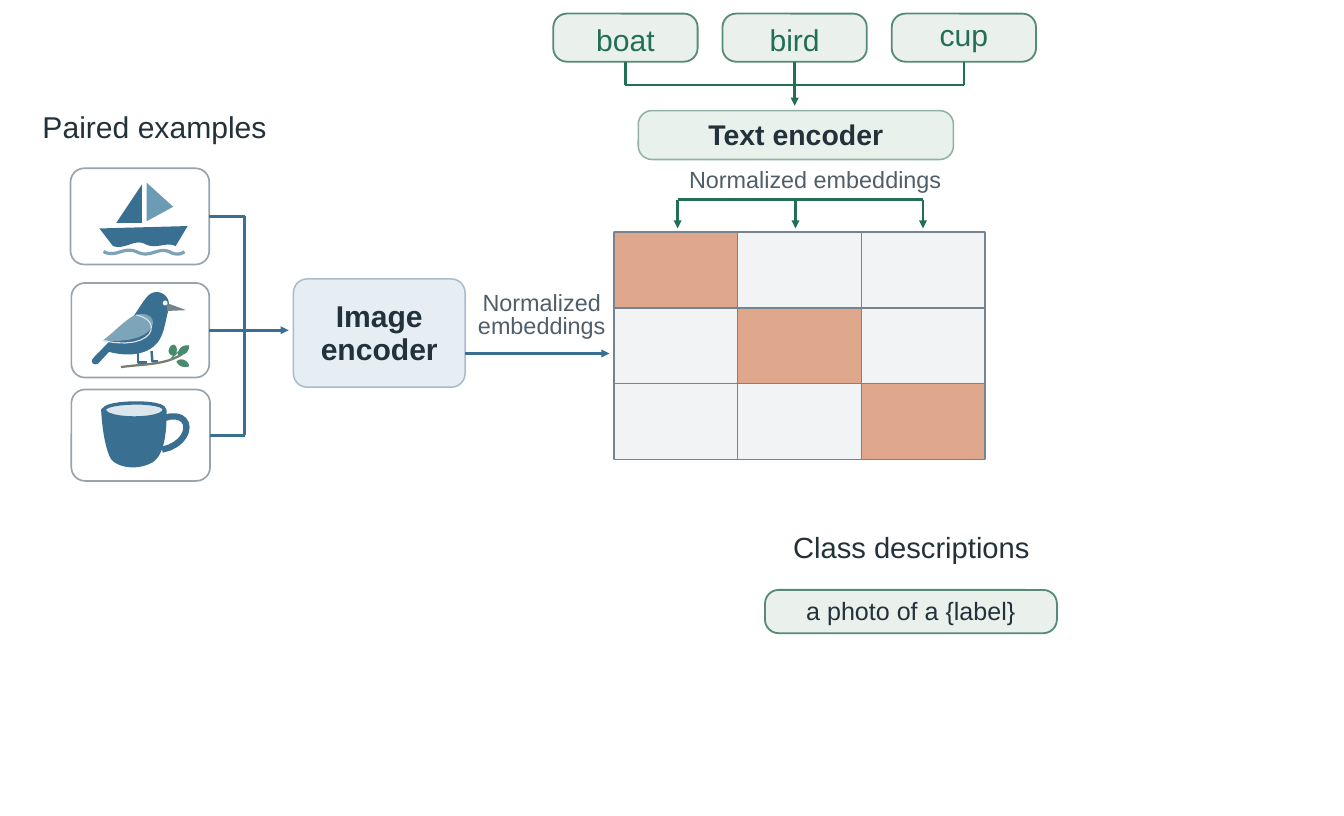
from dataclasses import dataclass

from lxml import etree
from pptx import Presentation
from pptx.dml.color import RGBColor
from pptx.enum.shapes import MSO_CONNECTOR, MSO_SHAPE
from pptx.enum.text import MSO_ANCHOR, MSO_AUTO_SIZE, PP_ALIGN
from pptx.oxml.ns import qn
from pptx.util import Pt

RECT, ROUNDED, OVAL = MSO_SHAPE.RECTANGLE, MSO_SHAPE.ROUNDED_RECTANGLE, MSO_SHAPE.OVAL
STRAIGHT = MSO_CONNECTOR.STRAIGHT
LEFT, CENTER = PP_ALIGN.LEFT, PP_ALIGN.CENTER
TOP, MIDDLE = MSO_ANCHOR.TOP, MSO_ANCHOR.MIDDLE
NO_AUTOFIT = MSO_AUTO_SIZE.NONE
TITLE_ONLY = 5
BOTTOM_SIDE, RIGHT_SIDE = 2, 3
EMU_PER_PX = 9144  # 100 px to the inch
CURVE_STEPS = 12
CORNER = 17


@dataclass(frozen=True)
class Theme:
    font: str = "Arial"
    ink: str = "22313A"
    muted: str = "4F5E69"
    white: str = "FFFFFF"
    blue: str = "396F90"
    sail: str = "6C9BB5"
    wave: str = "7CA2B7"
    wing: str = "7CA5BA"
    wing_edge: str = "DAE5E9"
    beak: str = "73828C"
    branch: str = "7B7B72"
    twig: str = "5D947D"
    leaf: str = "488A6E"
    drink: str = "DCE7ED"
    card_edge: str = "99A3AC"
    image_fill: str = "E6EEF4"
    image_edge: str = "A9BCCB"
    green: str = "236E57"
    label_fill: str = "EAF1EC"
    label_edge: str = "568B79"
    text_fill: str = "E9F1EC"
    text_edge: str = "91B2A3"
    cell: str = "F1F3F4"
    match: str = "DFA88C"
    grid: str = "76848F"
    heading_size: float = 27
    subheading_size: float = 26.2
    encoder_size: float = 25.5
    prompt_size: float = 22.5
    note_size: float = 21
    note_leading: float = 20.2
    wire: float = 2.4


THEME = Theme()

# Each outline: start point, then line ends (2 numbers) or cubic curves (6 numbers);
# followed by fill, line colour and line width.
BOAT = [
    ([(145, 278), (177, 230), (177, 278)], THEME.blue, None, 0),
    ([(183, 228), (216, 258), (183, 276)], THEME.sail, None, 0),
    ([(124, 285), (234, 282), (219, 307), (208, 301, 194, 312, 180, 304),
      (167, 298, 156, 312, 141, 307)], THEME.blue, None, 0),
    ([(129, 314), (145, 322, 154, 307, 170, 314), (187, 323, 196, 308, 211, 314),
      (218, 318, 225, 318, 230, 314)], None, THEME.wave, 2.85),
]
BIRD = [
    ([(117, 446), (151, 411), (165, 401, 171, 386, 182, 372),
      (193, 356, 216, 367, 210, 387), (205, 405, 205, 424, 188, 435),
      (170, 446, 148, 442, 136, 439), (123, 453), (118, 457, 111, 452, 117, 446)],
     THEME.blue, None, 0),
    ([(208, 378), (232, 387), (208, 388)], THEME.beak, None, 0),
    ([(128, 425), (144, 413, 157, 398, 169, 393), (201, 383, 206, 431, 128, 425)],
     THEME.wing, None, 0),
    ([(128, 425), (193, 439, 204, 399, 170, 393)], None, THEME.wing_edge, 0.98),
    ([(172, 438), (172, 452), (183, 452)], None, THEME.blue, 2.25),
    ([(189, 438), (190, 451), (197, 451)], None, THEME.blue, 2.25),
    ([(151, 458), (178, 454, 205, 456, 227, 442)], None, THEME.branch, 2.03),
    ([(212, 450), (219, 439, 226, 438, 233, 432)], None, THEME.twig, 1.35),
    ([(218, 444), (206, 444, 210, 430, 217, 430), (222, 433, 221, 439, 218, 444)],
     THEME.leaf, None, 0),
    ([(222, 443), (222, 432, 231, 430, 236, 431), (236, 440, 229, 444, 222, 443)],
     THEME.leaf, None, 0),
    ([(220, 451), (226, 445, 235, 450, 236, 457), (227, 460, 222, 455, 220, 451)],
     THEME.leaf, None, 0),
]
CUP = [
    ([(203, 522), (242, 508, 243, 553, 202, 561)], None, THEME.blue, 5.63),
    ([(127, 511), (135, 502, 199, 500, 207, 512), (207, 538, 205, 571, 186, 578),
      (169, 586, 146, 582, 139, 572), (131, 557, 128, 529, 127, 511)],
     THEME.blue, THEME.blue, 1.28),
    ([(130, 511), (130, 501, 205, 499, 205, 511), (205, 525, 130, 525, 130, 511)],
     THEME.drink, THEME.blue, 3),
]


def px(*lengths):
    return [round(length * EMU_PER_PX) for length in lengths]


def flatten(outline):
    """Turn an outline's lines and cubic curves into a list of points."""
    points = [outline[0]]
    for segment in outline[1:]:
        if len(segment) == 2:
            points.append(segment)
            continue
        start, first, second, end = points[-1], segment[:2], segment[2:4], segment[4:]
        for step in range(1, CURVE_STEPS + 1):
            t = step / CURVE_STEPS
            u = 1 - t
            points.append(tuple(
                u**3 * a + 3 * u * u * t * b + 3 * u * t * t * c + t**3 * d
                for a, b, c, d in zip(start, first, second, end)))
    return points


class Diagram:
    def __init__(self, theme, width, height):
        self.theme = theme
        self.deck = Presentation()
        self.deck.slide_width, self.deck.slide_height = px(width, height)
        self.page = self.deck.slides.add_slide(self.deck.slide_layouts[TITLE_ONLY])

    def paint(self, shape, fill, edge, weight):
        shape.shadow.inherit = False
        if fill:
            shape.fill.solid()
            shape.fill.fore_color.rgb = RGBColor.from_string(fill)
        else:
            shape.fill.background()
        if edge:
            shape.line.color.rgb = RGBColor.from_string(edge)
            shape.line.width = Pt(weight)
        else:
            shape.line.fill.background()

    def shape(self, kind, frame, fill, edge=None, weight=0):
        shape = self.page.shapes.add_shape(kind, *px(*frame))
        if kind == ROUNDED:
            shape.adjustments[0] = CORNER / min(frame[2:])
        self.paint(shape, fill, edge, weight)
        return shape

    def outline(self, outline, fill, edge, weight):
        points = [px(*point) for point in flatten(outline)]
        builder = self.page.shapes.build_freeform(*points[0], scale=1.0)
        builder.add_line_segments(points[1:], close=fill is not None)
        self.paint(builder.convert_to_shape(), fill, edge, weight)

    def set_text(self, box, lines, size, color, bold=False, align=CENTER,
                 anchor=MIDDLE, leading=None, drop=0):
        """Fill a box with one paragraph a line; drop moves centred text down."""
        frame = box.text_frame
        frame.auto_size = NO_AUTOFIT
        frame.word_wrap = False
        frame.vertical_anchor = anchor
        frame.margin_left = frame.margin_right = 0
        frame.margin_top, frame.margin_bottom = px(max(2 * drop, 0), max(-2 * drop, 0))
        for index, line in enumerate(lines):
            para = frame.add_paragraph() if index else frame.paragraphs[0]
            para.alignment = align
            if leading:
                para.line_spacing = Pt(leading)
            span = para.add_run()
            span.text = line
            span.font.name, span.font.size, span.font.bold = self.theme.font, Pt(size), bold
            span.font.color.rgb = RGBColor.from_string(color)

    def title(self, frame, text):
        box = self.page.shapes.title
        box.left, box.top, box.width, box.height = px(*frame)
        self.set_text(box, [text], self.theme.heading_size, self.theme.ink,
                      align=LEFT, anchor=TOP)

    def text(self, frame, lines, size, color, **style):
        box = self.page.shapes.add_textbox(*px(*frame))
        self.set_text(box, lines, size, color, anchor=TOP, **style)

    def wire(self, start, end, color, source=None, side=None, arrow=False):
        wire = self.page.shapes.add_connector(STRAIGHT, *px(*start, *end))
        if source is not None:
            wire.begin_connect(source, side)
        wire.line.color.rgb = RGBColor.from_string(color)
        wire.line.width = Pt(self.theme.wire)
        properties = wire._element.spPr
        if arrow:
            etree.SubElement(properties.find(qn("a:ln")), qn("a:tailEnd"), type="triangle")
        etree.SubElement(properties, qn("a:effectLst"))


def draw_examples(diagram):
    theme, trunk = diagram.theme, 305
    diagram.title((53, 135, 281, 47), "Paired examples")
    frames = [(88, 210, 173, 120), (89, 353, 172, 118), (89, 486, 173, 114)]
    middles = [top + height // 2 for _, top, _, height in frames]
    for frame, middle, icon in zip(frames, middles, (BOAT, BIRD, CUP)):
        card = diagram.shape(ROUNDED, frame, theme.white, theme.card_edge, 1.5)
        for part in icon:
            diagram.outline(*part)
        through = icon is BIRD
        diagram.wire((frame[0] + frame[2], middle), (360 if through else trunk, middle),
                     theme.blue, card, RIGHT_SIDE, arrow=through)
    diagram.shape(OVAL, (203, 375, 6, 6), theme.white)
    diagram.wire((trunk, middles[0]), (trunk, middles[-1]), theme.blue)


def draw_labels(diagram):
    theme, bus = diagram.theme, 106
    lefts = [690 + 211 * column for column in range(3)]
    for left, word, drop in zip(lefts, ("boat", "bird", "cup"), (2, 2, -4)):
        label = diagram.shape(ROUNDED, (left, 17, 180, 60),
                              theme.label_fill, theme.label_edge, 1.65)
        diagram.set_text(label, [word], theme.heading_size, theme.green, drop=drop)
        through = word == "bird"
        diagram.wire((left + 90, 77), (left + 90, 132 if through else bus),
                     theme.green, label, BOTTOM_SIDE, arrow=through)
    diagram.wire((lefts[0] + 90, bus), (lefts[-1] + 90, bus), theme.green)


def draw_encoders(diagram):
    theme = diagram.theme
    image = diagram.shape(ROUNDED, (366, 348, 214, 135),
                          theme.image_fill, theme.image_edge, 1.35)
    diagram.set_text(image, ["Image", "encoder"], theme.heading_size, theme.ink,
                     bold=True, leading=29.7)
    diagram.text((595, 367, 161, 56), ["Normalized", "embeddings"], theme.note_size,
                 theme.muted, leading=theme.note_leading)
    diagram.wire((580, 441), (760, 441), theme.blue, arrow=True)

    text = diagram.shape(ROUNDED, (796, 138, 393, 61), theme.text_fill, theme.text_edge, 1.35)
    diagram.set_text(text, ["Text encoder"], theme.encoder_size, theme.ink,
                     bold=True, leading=28.1)
    diagram.text((858, 206, 317, 36), ["Normalized embeddings"], theme.note_size, theme.muted)
    drops, bus = (845, 992, 1151), 249
    diagram.wire((drops[0], bus), (drops[-1], bus), theme.green)
    for x in drops:
        diagram.wire((x, bus), (x, 285), theme.green, arrow=True)


def draw_matrix(diagram):
    theme = diagram.theme
    left, top, width, height = 766, 290, 462, 283
    diagram.shape(RECT, (left, top, width, height), theme.cell, theme.grid, 1.95)
    for row in range(3):
        for column in range(3):
            frame = (left + column * width / 3, top + row * height / 3, width / 3, height / 3)
            fill = theme.match if row == column else theme.cell
            diagram.shape(RECT, frame, fill, theme.grid, 1.2)


def draw_prompt(diagram):
    theme = diagram.theme
    diagram.text((989, 660, 298, 46), ["Class descriptions"], theme.subheading_size,
                 theme.ink, align=LEFT)
    prompt = diagram.shape(ROUNDED, (954, 736, 364, 54),
                           theme.label_fill, theme.label_edge, 1.65)
    diagram.set_text(prompt, ["a photo of a {label}"], theme.prompt_size, theme.ink,
                     leading=24.8)


def main():
    diagram = Diagram(THEME, 1676, 1018)
    for draw in (draw_examples, draw_labels, draw_encoders, draw_matrix, draw_prompt):
        draw(diagram)
    diagram.deck.save("out.pptx")


if __name__ == "__main__":
    main()
